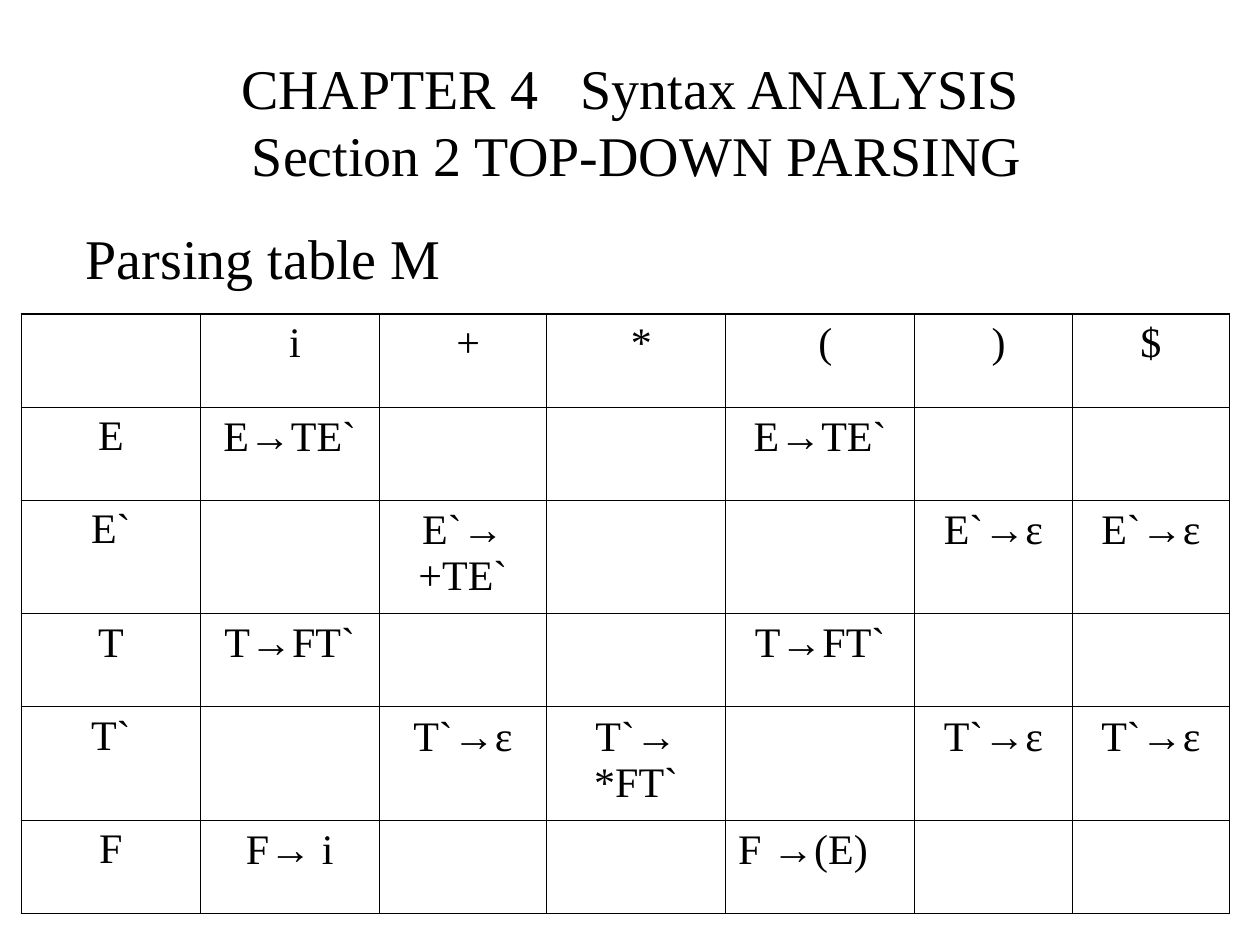
from lxml import etree
from pptx import Presentation
from pptx.dml.color import RGBColor
from pptx.enum.text import MSO_ANCHOR, PP_ALIGN
from pptx.oxml.ns import qn
from pptx.util import Inches, Pt

LEFT, CENTER = PP_ALIGN.LEFT, PP_ALIGN.CENTER
MIDDLE, TOP = MSO_ANCHOR.MIDDLE, MSO_ANCHOR.TOP
COLORS = {"ink": "000000", "paper": "FFFFFF"}
TEXT_FONT, ARROW_FONT = "Times New Roman", "Arial"
HEADING_SIZE, CELL_SIZE = 32, 24
OUTER_LINE, INNER_LINE = 1.08, 0.45

COLUMN_WIDTHS = [1.42, 1.42, 1.33, 1.42, 1.5, 1.25, 1.25]
ROW_HEIGHTS = [0.74, 0.74, 0.9, 0.74, 0.9, 0.74]
PARSING_TABLE = [
    ["", " i", " +", " *", " (", " )", "$"],
    ["E", "E→TE`", "", "", "E→TE`", "", ""],
    ["E`", "", "E`→ +TE`", "", "", "E`→ε", "E`→ε"],
    ["T", "T→FT`", "", "", "T→FT`", "", ""],
    ["T`", "", "T`→ε", "T`→ *FT`", "", "T`→ε", "T`→ε"],
    ["F", "F→ i", "", "", "F →(E)", "", ""],
]
LEFT_ALIGNED = "F →(E)"


def add_span(para, text, size, font=TEXT_FONT):
    """Add one formatted run to a paragraph and return it."""
    span = para.add_run()
    span.text = text
    span.font.size = Pt(size)
    span.font.name = font
    span.font.color.rgb = RGBColor.from_string(COLORS["ink"])
    return span


def place(shape, box):
    """Move a shape to a box given as left, top, width and height in inches."""
    shape.left, shape.top, shape.width, shape.height = map(Inches, box)


def fill_title(title, box):
    """Write the two-line chapter heading."""
    place(title, box)
    frame = title.text_frame
    frame.vertical_anchor = MIDDLE
    para = frame.paragraphs[0]
    para.alignment = CENTER
    add_span(para, "CHAPTER 4", HEADING_SIZE)
    gap = add_span(para, " ", HEADING_SIZE)
    gap.font._element.set("spc", "1600")
    add_span(para, "Syntax ANALYSIS", HEADING_SIZE)
    para.add_line_break()
    add_span(para, " Section 2 TOP-DOWN PARSING", HEADING_SIZE)


def fill_body(body, box):
    """Write the caption above the table, without a bullet."""
    place(body, box)
    frame = body.text_frame
    frame.vertical_anchor = TOP
    frame.margin_top = Inches(0.1)
    para = frame.paragraphs[0]
    etree.SubElement(para._p.get_or_add_pPr(), qn("a:buNone"))
    para.space_before = Pt(0)
    add_span(para, "Parsing table M", HEADING_SIZE)


def set_borders(cell, widths):
    """Draw the left, right, top and bottom borders of a cell."""
    properties = cell._tc.get_or_add_tcPr()
    for index, (side, width) in enumerate(zip("LRTB", widths)):
        line = etree.Element(qn(f"a:ln{side}"), w=str(Pt(width)))
        fill = etree.SubElement(line, qn("a:solidFill"))
        etree.SubElement(fill, qn("a:srgbClr"), val=COLORS["ink"])
        properties.insert(index, line)


def fill_cell(cell, text):
    """Write a production, with its arrow in the arrow font."""
    cell.fill.solid()
    cell.fill.fore_color.rgb = RGBColor.from_string(COLORS["paper"])
    para = cell.text_frame.paragraphs[0]
    para.alignment = LEFT if text == LEFT_ALIGNED else CENTER
    head, arrow, tail = text.partition("→")
    for part, font in ((head, TEXT_FONT), (arrow, ARROW_FONT), (tail, TEXT_FONT)):
        if part:
            add_span(para, part, CELL_SIZE, font)


def add_parsing_table(page, left, top):
    """Build the parsing table with a heavier outer frame."""
    row_count, column_count = len(ROW_HEIGHTS), len(COLUMN_WIDTHS)
    table = page.shapes.add_table(
        row_count, column_count, Inches(left), Inches(top),
        Inches(sum(COLUMN_WIDTHS)), Inches(sum(ROW_HEIGHTS))).table
    table.first_row = table.horz_banding = False
    for column, width in zip(table.columns, COLUMN_WIDTHS):
        column.width = Inches(width)
    for row, height in zip(table.rows, ROW_HEIGHTS):
        row.height = Inches(height)
    for r, texts in enumerate(PARSING_TABLE):
        for c, text in enumerate(texts):
            cell = table.cell(r, c)
            fill_cell(cell, text)
            on_edge = (c == 0, c == column_count - 1, r == 0, r == row_count - 1)
            set_borders(cell, [OUTER_LINE if edge else INNER_LINE for edge in on_edge])


def main():
    """Build the deck and save it."""
    deck = Presentation()
    deck.slide_width, deck.slide_height = Inches(10), Inches(7.5)
    page = deck.slides.add_slide(deck.slide_layouts[1])
    fill_title(page.shapes.title, (0.75, 0.17, 8.5, 1.58))
    fill_body(page.placeholders[1], (0.58, 1.67, 8.5, 5))
    add_parsing_table(page, 0.17, 2.49)
    deck.save("out.pptx")


if __name__ == "__main__":
    main()
